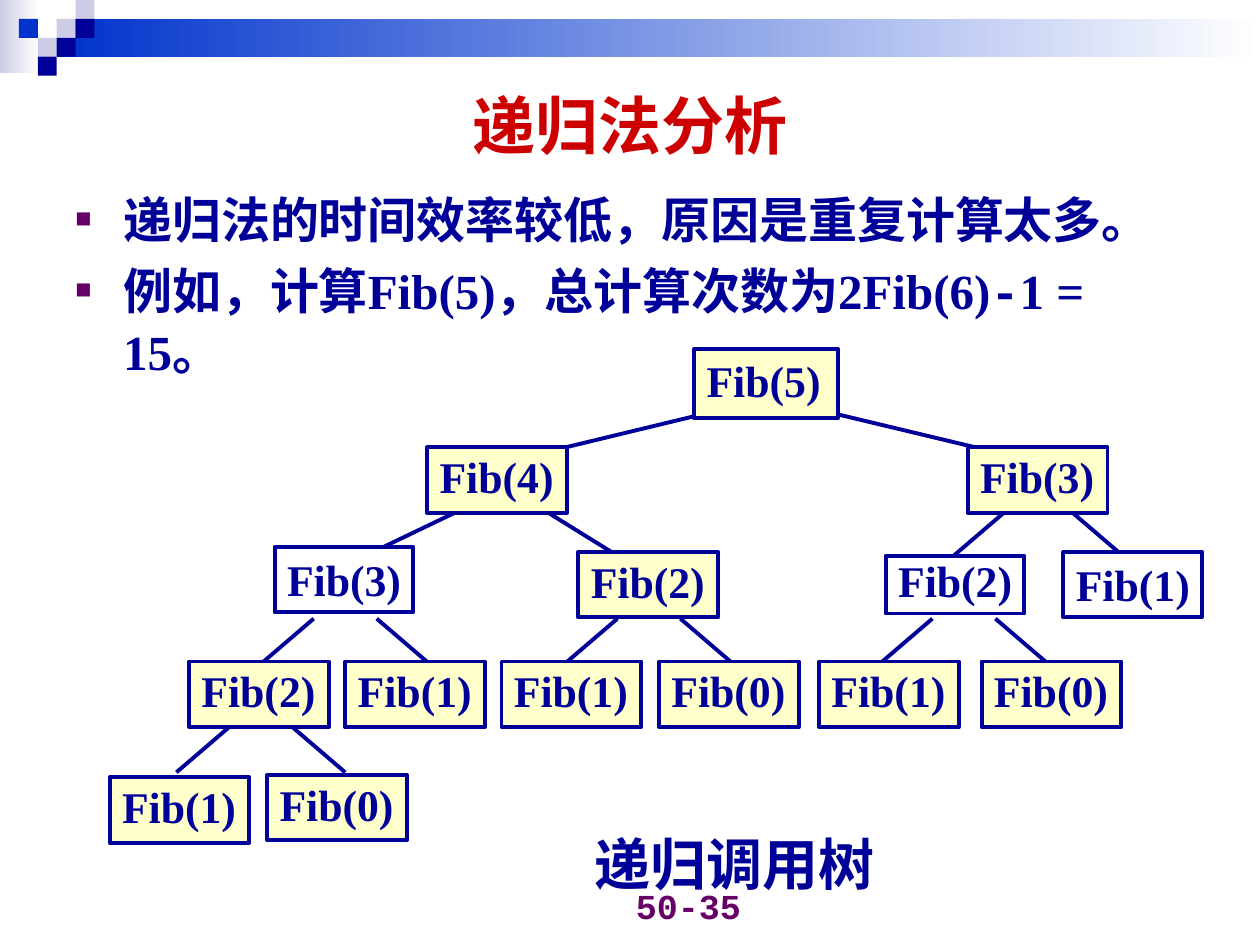
from lxml import etree
from pptx import Presentation
from pptx.dml.color import RGBColor
from pptx.enum.shapes import MSO_CONNECTOR, MSO_SHAPE
from pptx.enum.text import MSO_ANCHOR, PP_ALIGN
from pptx.oxml.ns import qn
from pptx.util import Inches, Pt

RECT = MSO_SHAPE.RECTANGLE
STRAIGHT = MSO_CONNECTOR.STRAIGHT
TOP, MIDDLE, BOTTOM = MSO_ANCHOR.TOP, MSO_ANCHOR.MIDDLE, MSO_ANCHOR.BOTTOM
LEFT, CENTER, RIGHT = PP_ALIGN.LEFT, PP_ALIGN.CENTER, PP_ALIGN.RIGHT

NAVY, BLUE, LILAC, WHITE = "000099", "0033CC", "CCCCE6", "FFFFFF"
CREAM, RED, PURPLE = "FFFFCC", "CC0000", "660066"
SERIF, SANS, MONO = "Times New Roman", "Arial", "Courier New"

BULLETS = [
    [("递归法的时间效率较低，原因是重复计算太多。", SANS)],
    [("例如，", SANS), ("计算Fib(5)，总计算次数为2Fib(6)", SERIF),
     ("-", MONO), ("1 = 15。", SERIF)],
]

# Nodes: n, left, top
CALLS = [
    (4, 3.39, 3.55), (3, 7.68, 3.55), (2, 4.59, 4.38),
    (2, 1.5, 5.25), (1, 2.74, 5.25), (1, 3.98, 5.25), (0, 5.23, 5.25),
    (1, 6.5, 5.25), (0, 7.79, 5.25), (1, 0.87, 6.17), (0, 2.12, 6.15),
]
# White nodes: n, left, top, height, line spacing
WHITE_CALLS = [(3, 2.18, 4.34, 0.52, 1.0), (1, 8.44, 4.38, 0.52, 1.0),
               (2, 7.03, 4.41, 0.46, 0.85)]
# Evenly spread branch pairs: centre, top
FORKS = [(2.07, 5.77), (2.74, 4.91), (5.15, 4.91), (7.65, 4.91), (8.24, 4.05)]
WIDE_BRANCHES = [(4.32, 4.05, 4.9, 4.41), (3.65, 4.05, 2.9, 4.41),
                 (6.57, 3.27, 7.74, 3.55), (5.65, 3.27, 4.49, 3.55)]


def color(hex_string):
    return RGBColor.from_string(hex_string)


def style(font, size, hex_string, name):
    font.size, font.bold, font.name = Pt(size), True, name
    font.color.rgb = color(hex_string)


def add_rect(slide, left, top, width, height, fill):
    """Add a borderless rectangle; a pair of colours gives a gradient."""
    rect = slide.shapes.add_shape(
        RECT, Inches(left), Inches(top), Inches(width), Inches(height))
    rect.shadow.inherit = False
    rect.line.fill.background()
    if isinstance(fill, tuple):
        rect.fill.gradient()
        rect.fill.gradient_angle = 0
        for stop, stop_color in zip(rect.fill.gradient_stops, fill):
            stop.color.rgb = color(stop_color)
    else:
        rect.fill.solid()
        rect.fill.fore_color.rgb = color(fill)
    return rect


def add_label(slide, box, text, size, hex_string, font_name, align, anchor):
    label = slide.shapes.add_textbox(*map(Inches, box))
    frame = label.text_frame
    frame.word_wrap = True
    frame.vertical_anchor = anchor
    frame.text = text
    frame.paragraphs[0].alignment = align
    style(frame.paragraphs[0].runs[0].font, size, hex_string, font_name)


def add_header(slide, left, top):
    unit = 0.15
    add_rect(slide, left, top, 0.31, 0.58, (LILAC, WHITE))
    add_rect(slide, left + 3 * unit, top + unit, 9.55, 2 * unit, (BLUE, WHITE))
    squares = [(3, 1, LILAC), (4, 0, LILAC), (4, 1, NAVY), (2, 2, LILAC),
               (1, 1, BLUE), (3, 2, NAVY), (2, 3, NAVY)]
    for column, row, fill in squares:
        add_rect(slide, left + column * unit, top + row * unit, unit, unit, fill)


def add_bullet(paragraph):
    properties = paragraph._p.get_or_add_pPr()
    properties.set("marL", str(Inches(0.38)))
    properties.set("indent", str(-Inches(0.38)))
    bullet_color = etree.SubElement(properties, qn("a:buClr"))
    etree.SubElement(bullet_color, qn("a:srgbClr"), val=PURPLE)
    etree.SubElement(properties, qn("a:buSzPct"), val="55000")
    etree.SubElement(properties, qn("a:buFont"), typeface=SANS)
    etree.SubElement(properties, qn("a:buChar"), char="■")


def add_body(slide, left, top, width, height):
    body = slide.shapes.add_textbox(
        Inches(left), Inches(top), Inches(width), Inches(height))
    frame = body.text_frame
    frame.word_wrap = True
    for index, pieces in enumerate(BULLETS):
        paragraph = frame.add_paragraph() if index else frame.paragraphs[0]
        add_bullet(paragraph)
        paragraph.line_spacing = 1.05
        paragraph.space_before = Pt(5.2 if index else 0)
        for text, font_name in pieces:
            run = paragraph.add_run()
            run.text = text
            style(run.font, 28, NAVY, font_name)


def add_branch(slide, x1, y1, x2, y2):
    branch = slide.shapes.add_connector(
        STRAIGHT, Inches(x1), Inches(y1), Inches(x2), Inches(y2))
    branch.line.color.rgb = color(NAVY)
    branch.line.width = Pt(2.25)
    etree.SubElement(branch._element.spPr, qn("a:effectLst"))


def add_call(slide, n, left, top, width=1.11, height=0.52, fill=CREAM,
             anchor=MIDDLE, spacing=0.85):
    call = add_rect(slide, left, top, width, height, fill)
    call.line.color.rgb = color(NAVY)
    call.line.width = Pt(2.25)
    frame = call.text_frame
    frame.word_wrap = False
    frame.vertical_anchor = anchor
    frame.text = f"Fib({n})"
    paragraph = frame.paragraphs[0]
    paragraph.alignment = LEFT
    paragraph.line_spacing = spacing
    style(paragraph.runs[0].font, 25, NAVY, SERIF)


def add_call_tree(slide, left, top):
    """Draw the call tree, with its root node at left, top."""
    dx, dy = left - 5.51, top - 2.77
    branches = list(WIDE_BRANCHES)
    for x, y in FORKS:
        branches += [(x + side * 0.25, y, x + side * 0.67, y + 0.36)
                     for side in (1, -1)]
    for x1, y1, x2, y2 in branches:
        add_branch(slide, x1 + dx, y1 + dy, x2 + dx, y2 + dy)
    for n, x, y in CALLS:
        add_call(slide, n, x + dx, y + dy)
    for n, x, y, height, spacing in WHITE_CALLS:
        add_call(slide, n, x + dx, y + dy, 1.1, height, WHITE, TOP, spacing)
    add_call(slide, 5, left, top, 1.14, 0.55)


def main():
    deck = Presentation()
    deck.slide_width, deck.slide_height = Inches(10), Inches(7.5)
    slide = deck.slides.add_slide(deck.slide_layouts[6])
    add_header(slide, 0, 0)
    add_label(slide, (3.65, 6.9, 2.33, 0.5), "50-35", 20, PURPLE, MONO,
              RIGHT, BOTTOM)
    add_label(slide, (0.5, 0.5, 9, 0.97), "递归法分析", 36, RED, SANS,
              CENTER, MIDDLE)
    add_body(slide, 0.5, 1.43, 9, 1.7)
    add_label(slide, (4.33, 6.5, 3, 0.7), "递归调用树", 32, NAVY, SANS,
              CENTER, MIDDLE)
    add_call_tree(slide, 5.51, 2.77)
    deck.save("out.pptx")


if __name__ == "__main__":
    main()
